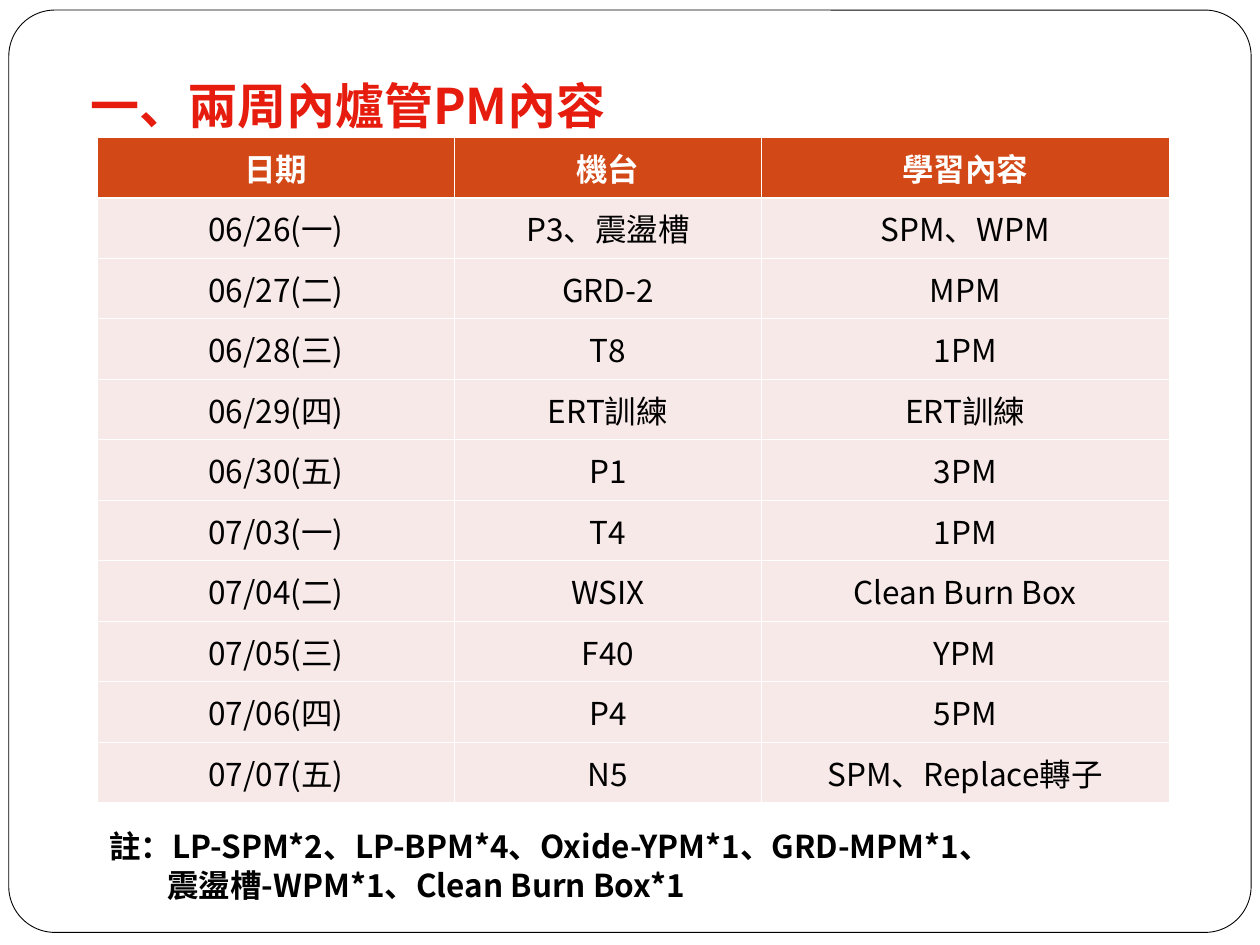
import dataclasses

import pptx
import pptx.dml.color
import pptx.enum.shapes
import pptx.enum.text
import pptx.oxml
import pptx.oxml.ns
import pptx.util
from pptx.util import Inches


@dataclasses.dataclass(frozen=True)
class Theme:
    font: str = "Noto Sans CJK SC"
    white: str = "FFFFFF"
    black: str = "000000"
    title: str = "E61C0E"
    header: str = "D34817"
    body: str = "F7E9E7"
    title_size: int = 28
    text_size: int = 18
    border: float = 0.45
    header_border: float = 1.47


THEME = Theme()
HEADINGS = ("日期", "機台", "學習內容")
SCHEDULE = (
    ("06/26(一)", "P3、震盪槽", "SPM、WPM"),
    ("06/27(二)", "GRD-2", "MPM"),
    ("06/28(三)", "T8", "1PM"),
    ("06/29(四)", "ERT訓練", "ERT訓練"),
    ("06/30(五)", "P1", "3PM"),
    ("07/03(一)", "T4", "1PM"),
    ("07/04(二)", "WSIX", "Clean Burn Box"),
    ("07/05(三)", "F40", "YPM"),
    ("07/06(四)", "P4", "5PM"),
    ("07/07(五)", "N5", "SPM、Replace轉子"),
)
NOTES = (
    ("註：LP-SPM*2、LP-BPM*4、Oxide-YPM*1、GRD-MPM*1、", 0),
    ("震盪槽-WPM*1、Clean Burn Box*1", 0.46),
)


def rgb(value):
    return pptx.dml.color.RGBColor.from_string(value)


def add_span(para, text, color, size, bold):
    span = para.add_run()
    span.text = text
    formats = {"name": THEME.font, "size": pptx.util.Pt(size), "bold": bold}
    for name, value in formats.items():
        setattr(span.font, name, value)
    span.font.color.rgb = rgb(color)
    east_asian = pptx.oxml.parse_xml(
        f'<a:ea {pptx.oxml.ns.nsdecls("a")} typeface="{THEME.font}"/>')
    span.font._element.find(pptx.oxml.ns.qn("a:latin")).addnext(east_asian)


def add_frame(page):
    frame = page.shapes.add_shape(
        pptx.enum.shapes.MSO_SHAPE.ROUNDED_RECTANGLE,
        Inches(0.07), Inches(0.08), Inches(9.86), Inches(7.32))
    frame.adjustments[0] = 0.05
    frame.shadow.inherit = False
    frame.fill.solid()
    frame.fill.fore_color.rgb = rgb(THEME.white)
    frame.line.color.rgb = rgb(THEME.black)
    frame.line.width = pptx.util.Pt(0.5)


def add_text(page, place, lines, color, size, line_height, wrap):
    """Add bold text; each line is its wording and its left indent in inches."""
    box = page.shapes.add_textbox(*map(Inches, place))
    box.text_frame.word_wrap = wrap
    for index, (text, indent) in enumerate(lines):
        para = box.text_frame.paragraphs[0] if index == 0 else box.text_frame.add_paragraph()
        para.line_spacing = pptx.util.Pt(line_height)
        if indent:
            para._p.get_or_add_pPr().set("marL", str(Inches(indent)))
        add_span(para, text, color, size, True)


def set_borders(cell, widths):
    properties = cell._tc.get_or_add_tcPr()
    for position, (side, width) in enumerate(widths.items()):
        properties.insert(position, pptx.oxml.parse_xml(
            f'<a:ln{side} {pptx.oxml.ns.nsdecls("a")} w="{pptx.util.Pt(width)}">'
            f'<a:solidFill><a:srgbClr val="{THEME.white}"/></a:solidFill></a:ln{side}>'))


def fill_cell(cell, text, row):
    is_header = row == 0
    cell.vertical_anchor = pptx.enum.text.MSO_ANCHOR.MIDDLE
    cell.fill.solid()
    cell.fill.fore_color.rgb = rgb(THEME.header if is_header else THEME.body)
    set_borders(cell, {
        "L": THEME.border,
        "R": THEME.border,
        "T": THEME.header_border if row == 1 else THEME.border,
        "B": THEME.header_border if is_header else THEME.border,
    })
    para = cell.text_frame.paragraphs[0]
    para.alignment = pptx.enum.text.PP_ALIGN.CENTER
    add_span(para, text, THEME.white if is_header else THEME.black,
             THEME.text_size, is_header)


def add_schedule(page):
    rows = (HEADINGS, *SCHEDULE)
    table = page.shapes.add_table(
        len(rows), len(HEADINGS),
        Inches(0.77), Inches(1.09), Inches(8.51), Inches(5.28)).table
    for column, width in zip(table.columns, (2.84, 2.43, 3.24)):
        column.width = Inches(width)
    for row, texts in enumerate(rows):
        table.rows[row].height = Inches(0.48)
        for column, text in enumerate(texts):
            fill_cell(table.cell(row, column), text, row)


def main():
    deck = pptx.Presentation()
    deck.slide_width, deck.slide_height = Inches(10), Inches(7.5)
    page = deck.slides.add_slide(deck.slide_layouts[6])
    add_frame(page)
    add_schedule(page)
    add_text(page, (0.77, 6.51, 8.54, 0.7), NOTES, THEME.black,
             THEME.text_size, 22, True)
    add_text(page, (0.62, 0.52, 4.49, 0.57), [("一、兩周內爐管PM內容", 0)],
             THEME.title, THEME.title_size, 36, False)
    deck.save("out.pptx")


if __name__ == "__main__":
    main()
